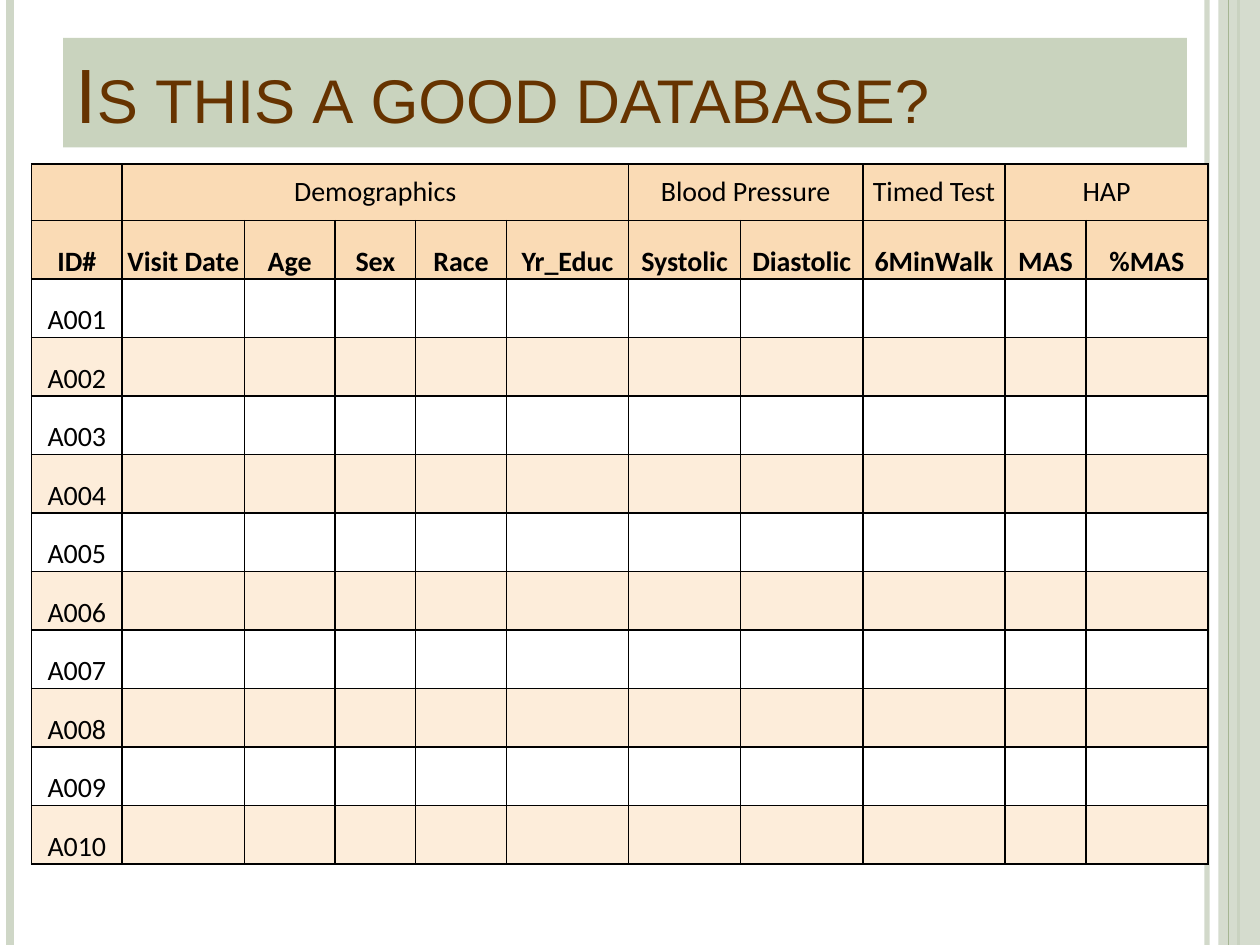
"""Build the database question slide with its patient data table."""
from dataclasses import dataclass

import pptx
import pptx.dml.color
import pptx.enum.shapes
import pptx.enum.text
import pptx.oxml
import pptx.oxml.ns
import pptx.util
from pptx.util import Inches


@dataclass(frozen=True)
class Theme:
    title_band: str = "C9D3BE"
    title_text: str = "663300"
    stripe: str = "CFD7C7"
    accent: str = "A5B592"
    header: str = "FADBB5"
    band: str = "FDEDDA"
    plain: str = "FFFFFF"
    ink: str = "000000"
    title_font: str = "Arial"
    table_font: str = "Calibri"
    title_size: float = 44
    table_size: float = 16
    group_spacing: float = 18
    border_width: float = 1


@dataclass(frozen=True)
class Rule:
    x: float
    color: str
    width: float
    opacity: int = 100


@dataclass(frozen=True)
class Group:
    label: str
    fields: dict[str, float]


THEME = Theme()
SLIDE_WIDTH, SLIDE_HEIGHT = 10, 7.5
SIDE_BAND_LEFT = 9.67
RULES_BEHIND = (Rule(9.58, THEME.stripe, 3, 93), Rule(0.08, THEME.stripe, 4.5),
                Rule(9.83, THEME.accent, 1.5))
RULE_FRONT = Rule(9.75, THEME.accent, 0.75)
GROUPS = (
    Group("", {"ID#": 0.72}),
    Group("Demographics", {"Visit Date": 0.97, "Age": 0.72, "Sex": 0.64,
                           "Race": 0.72, "Yr_Educ": 0.97}),
    Group("Blood Pressure", {"Systolic": 0.89, "Diastolic": 0.97}),
    Group("Timed Test", {"6MinWalk": 1.13}),
    Group("HAP", {"MAS": 0.64, "%MAS": 0.97}),
)
PATIENTS = [f"A{number:03}" for number in range(1, 11)]
TABLE_LEFT, TABLE_TOP, TABLE_HEIGHT, GROUP_HEIGHT = 0.25, 1.3, 5.56, 0.45


def rgb(color: str) -> pptx.dml.color.RGBColor:
    """Turn a hex value into a colour."""
    return pptx.dml.color.RGBColor.from_string(color)


def apply(target, formats: dict) -> None:
    """Set every format value on the target."""
    for attribute, value in formats.items():
        setattr(target, attribute, value)


def paint(fill, color: str, opacity: int = 100) -> None:
    """Give a fill one colour and opacity."""
    fill.solid()
    fill.fore_color.rgb = rgb(color)
    if opacity < 100:
        color_element = fill._xPr.find(".//" + pptx.oxml.ns.qn("a:srgbClr"))
        alpha = pptx.oxml.parse_xml(
            f'<a:alpha {pptx.oxml.ns.nsdecls("a")} val="{opacity * 1000}"/>')
        color_element.append(alpha)


def draw_rule(slide, rule: Rule) -> None:
    """Draw a full-height vertical line."""
    line = slide.shapes.add_connector(
        pptx.enum.shapes.MSO_CONNECTOR.STRAIGHT,
        Inches(rule.x), 0, Inches(rule.x), Inches(SLIDE_HEIGHT))
    line.line.width = pptx.util.Pt(rule.width)
    paint(line.line.fill, rule.color, rule.opacity)
    line._element.spPr.append(
        pptx.oxml.parse_xml(f'<a:effectLst {pptx.oxml.ns.nsdecls("a")}/>'))


def draw_side_band(slide) -> None:
    """Draw the translucent band on the right edge."""
    band = slide.shapes.add_shape(
        pptx.enum.shapes.MSO_SHAPE.RECTANGLE, Inches(SIDE_BAND_LEFT), 0,
        Inches(SLIDE_WIDTH - SIDE_BAND_LEFT), Inches(SLIDE_HEIGHT))
    band.shadow.inherit = False
    band.line.fill.background()
    paint(band.fill, THEME.stripe, 87)


def write_title(slide, text: str) -> None:
    """Place and format the title."""
    title = slide.shapes.title
    apply(title, {"left": Inches(0.5), "top": Inches(0.3),
                  "width": Inches(8.92), "height": Inches(0.87)})
    paint(title.fill, THEME.title_band)
    apply(title.text_frame, {
        "text": text, "word_wrap": True,
        "auto_size": pptx.enum.text.MSO_AUTO_SIZE.NONE,
        "vertical_anchor": pptx.enum.text.MSO_ANCHOR.MIDDLE})
    paragraph = title.text_frame.paragraphs[0]
    paragraph.alignment = pptx.enum.text.PP_ALIGN.LEFT
    font = paragraph.runs[0].font
    apply(font, {"name": THEME.title_font, "size": pptx.util.Pt(THEME.title_size)})
    font.color.rgb = rgb(THEME.title_text)
    font._element.set("cap", "small")


def style_cell(cell, color: str) -> None:
    """Fill and outline one cell."""
    paint(cell.fill, color)
    properties = cell._tc.get_or_add_tcPr()
    width = pptx.util.Pt(THEME.border_width)
    for position, side in enumerate(("lnL", "lnR", "lnT", "lnB")):
        properties.insert(position, pptx.oxml.parse_xml(
            f'<a:{side} {pptx.oxml.ns.nsdecls("a")} w="{width}"><a:solidFill>'
            f'<a:srgbClr val="{THEME.ink}"/></a:solidFill></a:{side}>'))


def write_cell(cell, text: str, bold: bool = False, group: bool = False) -> None:
    """Write centred text into one cell."""
    anchors = pptx.enum.text.MSO_ANCHOR
    apply(cell, {"text": text, "margin_left": Inches(0.01),
                 "margin_right": Inches(0.01), "margin_top": Inches(0.01),
                 "margin_bottom": 0,
                 "vertical_anchor": anchors.MIDDLE if group else anchors.BOTTOM})
    paragraph = cell.text_frame.paragraphs[0]
    paragraph.alignment = pptx.enum.text.PP_ALIGN.CENTER
    if group:
        paragraph.line_spacing = pptx.util.Pt(THEME.group_spacing)
    apply(paragraph.font, {"name": THEME.table_font, "bold": bold,
                           "size": pptx.util.Pt(THEME.table_size)})
    paragraph.font.color.rgb = rgb(THEME.ink)


def draw_table(slide) -> None:
    """Draw the grouped headings and the patient rows."""
    fields = {name: width for group in GROUPS for name, width in group.fields.items()}
    row_count = len(PATIENTS) + 2
    table = slide.shapes.add_table(
        row_count, len(fields), Inches(TABLE_LEFT), Inches(TABLE_TOP),
        Inches(sum(fields.values())), Inches(TABLE_HEIGHT)).table
    apply(table, {"first_row": False, "horz_banding": False})
    for column, width in zip(table.columns, fields.values()):
        column.width = Inches(width)
    row_height = (TABLE_HEIGHT - GROUP_HEIGHT) / (row_count - 1)
    for index, row in enumerate(table.rows):
        row.height = Inches(row_height if index else GROUP_HEIGHT)
        color = THEME.header if index < 2 else (THEME.plain, THEME.band)[index % 2]
        for cell in row.cells:
            style_cell(cell, color)
    start = 0
    for group in GROUPS:
        end = start + len(group.fields) - 1
        heading = table.cell(0, start)
        if end > start:
            heading.merge(table.cell(0, end))
        write_cell(heading, group.label, group=True)
        start = end + 1
    for index, name in enumerate(fields):
        write_cell(table.cell(1, index), name, bold=True)
    for index, patient in enumerate(PATIENTS, start=2):
        write_cell(table.cell(index, 0), patient)


def main() -> None:
    """Build and save the slide."""
    presentation = pptx.Presentation()
    apply(presentation, {"slide_width": Inches(SLIDE_WIDTH),
                         "slide_height": Inches(SLIDE_HEIGHT)})
    slide = presentation.slides.add_slide(presentation.slide_layouts.get_by_name("Title Only"))
    for rule in RULES_BEHIND:
        draw_rule(slide, rule)
    draw_side_band(slide)
    draw_rule(slide, RULE_FRONT)
    write_title(slide, "Is this a good database?")
    draw_table(slide)
    presentation.save("out.pptx")


if __name__ == "__main__":
    main()
